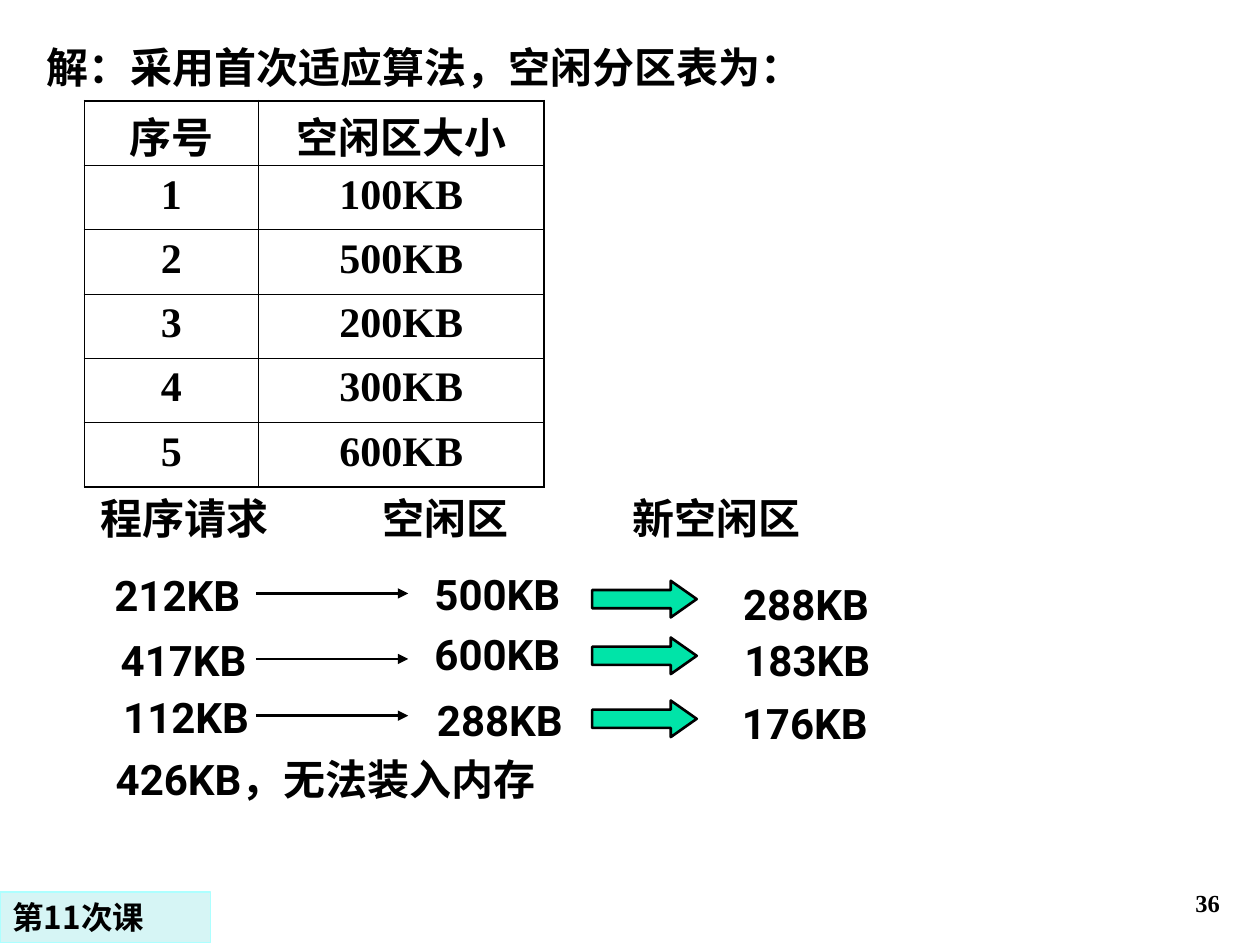
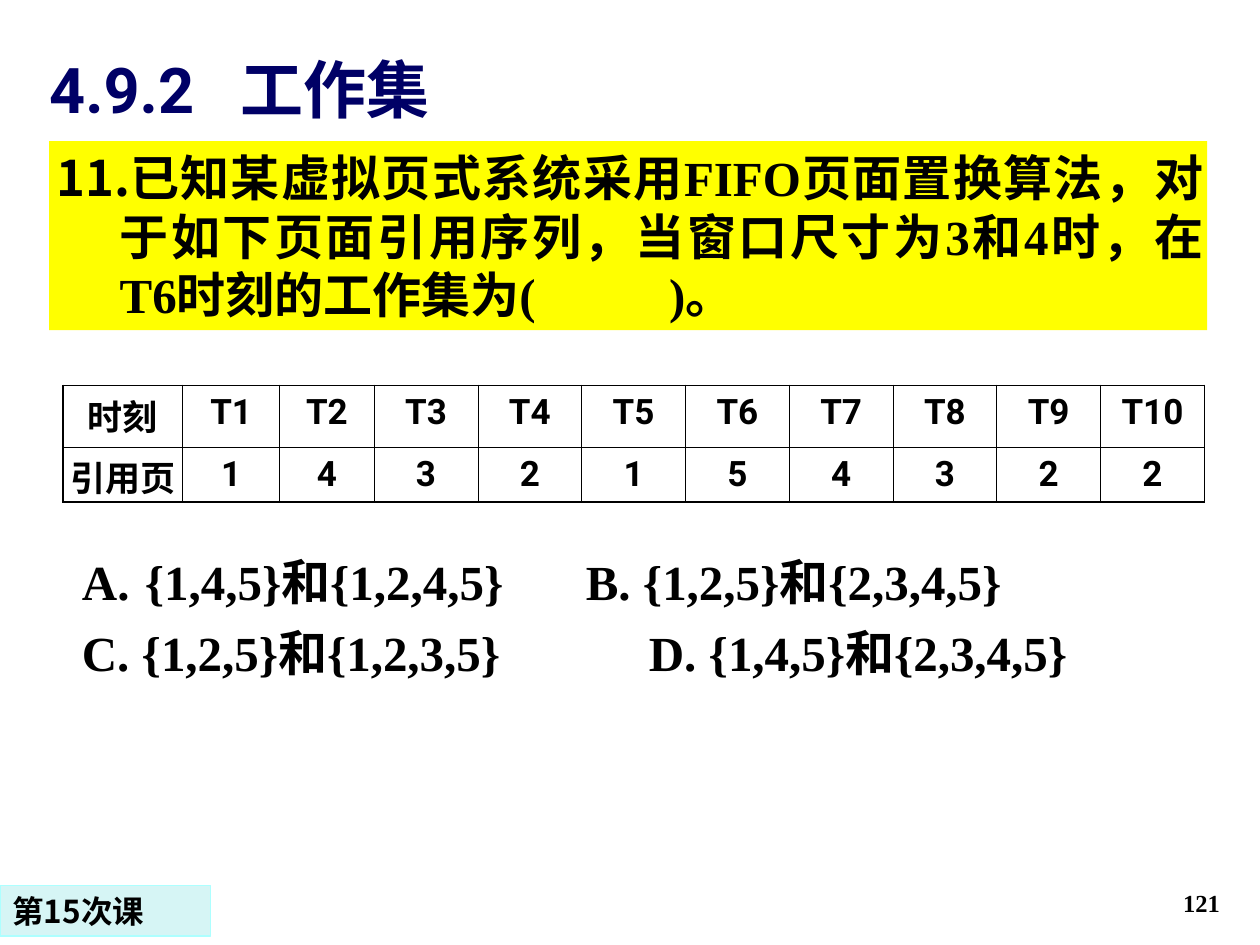
from lxml import etree
from pptx import Presentation
from pptx.dml.color import RGBColor as RGB
from pptx.enum.shapes import MSO_CONNECTOR as CONN, MSO_SHAPE as SHAPE
from pptx.enum.text import MSO_ANCHOR as ANCHOR, MSO_AUTO_SIZE as AUTO, PP_ALIGN as ALIGN
from pptx.oxml.ns import qn
from pptx.util import Inches, Pt

BLACK = RGB(0x00, 0x00, 0x00)
NAVY = RGB(0x00, 0x00, 0x66)
YELLOW = RGB(0xFF, 0xFF, 0x00)
GREEN = RGB(0x00, 0xE4, 0xA8)
PALE_CYAN = RGB(0xD6, 0xF5, 0xF5)
CYAN = RGB(0xAD, 0xFF, 0xFF)
ROBOTO, TIMES, CJK = "Roboto", "Times New Roman", "Noto Sans CJK SC"
THIN, THICK = Pt(0.45), Pt(1.08)

FREE_AREAS = [("序号", "空闲区大小"), ("1", "100KB"), ("2", "500KB"),
              ("3", "200KB"), ("4", "300KB"), ("5", "600KB")]
REFERENCES = [["时刻"] + [f"T{n}" for n in range(1, 11)],
              ["引用页"] + list("1432154322")]
HEADINGS = [("程序请求", 0.7), ("空闲区", 2.94), ("新空闲区", 4.92)]
ALLOCATIONS = [
    (("212KB", 0.81, 4.47), ("500KB", 3.35, 4.46), ("288KB", 5.8, 4.54)),
    (("417KB", 0.86, 4.99), ("600KB", 3.35, 4.94), ("183KB", 5.81, 4.99)),
    (("112KB", 0.88, 5.44), ("288KB", 3.37, 5.46), ("176KB", 5.79, 5.49)),
]


def child(parent, tag, **attrs):
    """Append an XML element with the given attributes."""
    el = etree.SubElement(parent, qn(tag))
    for key, value in attrs.items():
        el.set(key, str(value))
    return el


def add_run(p, text, font, size, color=BLACK):
    """Add one bold run with its Latin and East Asian fonts."""
    r = p.add_run()
    r.text = text
    r.font.name, r.font.size, r.font.bold = font, Pt(size), True
    r.font.color.rgb = color
    child(r.font._element, "a:ea", typeface=CJK)


def format_paragraph(p, hang, tab=None, number=None, start=1):
    """Set the hanging indent, numbering and tab stop of a paragraph."""
    pPr = p._p.get_or_add_pPr()
    pPr.set("marL", str(Inches(hang)))
    pPr.set("indent", str(-Inches(hang)))
    if number:
        child(child(pPr, "a:buClr"), "a:srgbClr", val=BLACK)
        child(pPr, "a:buAutoNum", type=number, startAt=start)
    else:
        child(pPr, "a:buNone")
    if tab:
        child(child(pPr, "a:tabLst"), "a:tab", pos=Inches(tab), algn="l")


def frame(sp, inset=0.1, anchor=ANCHOR.TOP):
    """Prepare the text frame of a shape and return its first paragraph."""
    tf = sp.text_frame
    tf.word_wrap, tf.auto_size, tf.vertical_anchor = True, AUTO.NONE, anchor
    tf.margin_left = tf.margin_right = Inches(inset)
    tf.margin_top = tf.margin_bottom = Inches(0.05)
    p = tf.paragraphs[0]
    p.alignment = ALIGN.LEFT
    return p


def place(sp, x, y, w, h):
    """Move and size a shape in inches."""
    sp.left, sp.top, sp.width, sp.height = map(Inches, (x, y, w, h))
    return sp


def add_label(s, text, x, y, w=1.4):
    """Add a one-line text box in the body style."""
    p = frame(s.shapes.add_textbox(*map(Inches, (x, y, w, 0.5))))
    add_run(p, text, ROBOTO, 24)


def add_preset(s, kind, box, fill, line=None, width=1.5):
    """Add a filled preset shape, outlined when a line colour is given."""
    sp = s.shapes.add_shape(kind, *map(Inches, box))
    sp.shadow.inherit = False
    sp.fill.solid()
    sp.fill.fore_color.rgb = fill
    if line is None:
        sp.line.fill.background()
    else:
        sp.line.color.rgb, sp.line.width = line, Pt(width)
    return sp


def add_arrow_line(s, x, y, length=1.21):
    """Add a thin horizontal line that ends in an arrowhead."""
    c = s.shapes.add_connector(CONN.STRAIGHT, *map(Inches, (x, y, x + length, y)))
    c.line.color.rgb, c.line.width = BLACK, Pt(1.5)
    child(c.line._get_or_add_ln(), "a:tailEnd", type="triangle")
    child(c._element.spPr, "a:effectLst")


def set_borders(cell, edges):
    """Draw thick borders on the outer edges of a cell and thin ones inside."""
    tcPr = cell._tc.get_or_add_tcPr()
    for side in "LRTB":
        ln = child(tcPr, f"a:ln{side}", w=THICK if side in edges else THIN)
        child(child(ln, "a:solidFill"), "a:srgbClr", val=BLACK)
    cell.fill.background()


def add_grid(s, rows, x, y, widths, heights, font, size, inset):
    """Add a ruled table of centred text."""
    box = map(Inches, (x, y, sum(widths), sum(heights)))
    table = s.shapes.add_table(len(rows), len(widths), *box).table
    table.first_row = table.horz_banding = False
    for col, width in zip(table.columns, widths):
        col.width = Inches(width)
    for row, height in zip(table.rows, heights):
        row.height = Inches(height)
    last_row, last_col = len(rows) - 1, len(widths) - 1
    for i, values in enumerate(rows):
        for j, text in enumerate(values):
            cell = table.cell(i, j)
            cell.margin_left = cell.margin_right = Inches(inset)
            cell.margin_top = Inches(0.05 if text.isascii() else 0.03)
            cell.margin_bottom = 0
            p = cell.text_frame.paragraphs[0]
            p.alignment = ALIGN.CENTER
            add_run(p, text, font, size)
            edges = {"T": i == 0, "B": i == last_row, "L": j == 0, "R": j == last_col}
            set_borders(cell, [side for side, outer in edges.items() if outer])
    return table


def add_slide(prs, layout, lesson, lesson_top, number):
    """Add a slide with the shared lesson tag and page number."""
    s = prs.slides.add_slide(prs.slide_layouts[layout])
    tag = add_preset(s, SHAPE.RECTANGLE, (0, lesson_top, 1.67, 0.4), PALE_CYAN, CYAN, 0.75)
    add_run(frame(tag), lesson, CJK, 18)
    p = frame(s.shapes.add_textbox(*map(Inches, (7.7, 6.83, 2.08, 0.5))), anchor=ANCHOR.BOTTOM)
    p.alignment = ALIGN.RIGHT
    add_run(p, number, TIMES, 14)
    return s


def build_first_fit(prs):
    """Build the slide on first-fit allocation."""
    s = add_slide(prs, 5, "第11次课", 7.08, "36")
    p = frame(place(s.shapes.title, 0.27, 0.28, 7.21, 0.5))
    add_run(p, "解：采用首次适应算法，空闲分区表为：", ROBOTO, 24)
    add_grid(s, FREE_AREAS, 0.67, 0.8, [1.38, 2.27], [0.51] * 6, TIMES, 24, 0.1)
    for heading, x in HEADINGS:
        add_label(s, heading, x, 3.86, 1.8)
    for request, free, rest in ALLOCATIONS:
        for value, x, y in (request, free, rest):
            add_label(s, value, x, y)
        add_arrow_line(s, 2.03, request[2] + 0.24)
        arrow = add_preset(s, SHAPE.RIGHT_ARROW, (4.7, rest[2] + 0.07, 0.83, 0.29), GREEN, BLACK)
        arrow.adjustments[1] = 0.71
    add_label(s, "426KB，无法装入内存", 0.82, 5.93, 4.35)


def build_working_set(prs):
    """Build the slide with the working-set question."""
    s = add_slide(prs, 1, "第15次课", 7.03, "121")
    p = frame(place(s.shapes.title, 0.29, 0.45, 9.43, 0.6), anchor=ANCHOR.BOTTOM)
    format_paragraph(p, 1.52)
    add_run(p, "4.9.2\t工作集", ROBOTO, 36, NAVY)

    question = add_preset(s, SHAPE.RECTANGLE, (0.39, 1.12, 9.19, 1.5), YELLOW)
    p = frame(question, 0.06)
    question.text_frame.margin_right = Inches(0.03)
    p.alignment = ALIGN.JUSTIFY
    format_paragraph(p, 0.5, 4.86, "arabicPeriod", 11)
    add_run(p, "已知某虚拟页式系统采用FIFO页面置换算法，对于如下页面引用序列，"
               "当窗口尺寸为3和4时，在T6时刻的工作集为(\t)。", TIMES, 28)

    table = add_grid(s, REFERENCES, 0.5, 3.06, [0.95, 0.77, 0.75] + [6.59 / 8] * 8,
                     [0.49, 0.43], ROBOTO, 20, 0.06)
    table.cell(1, 0).margin_left = table.cell(1, 0).margin_right = Inches(0.02)

    body = place(s.placeholders[1], 0.59, 4.33, 8.85, 1.13)
    p = frame(body, 0.06)
    format_paragraph(p, 0.5, 4, "alphaUcPeriod")
    add_run(p, "{1,4,5}和{1,2,4,5}\tB. {1,2,5}和{2,3,4,5}", TIMES, 28)
    p.space_before = Pt(0)
    p = body.text_frame.add_paragraph()
    format_paragraph(p, 4.5)
    add_run(p, "C. {1,2,5}和{1,2,3,5}\tD. {1,4,5}和{2,3,4,5}", TIMES, 28)
    p.space_before = Pt(7)


def main():
    """Build and save the presentation."""
    prs = Presentation()
    prs.slide_width, prs.slide_height = Inches(10), Inches(7.5)
    build_first_fit(prs)
    build_working_set(prs)
    prs.save("out.pptx")


if __name__ == "__main__":
    main()
